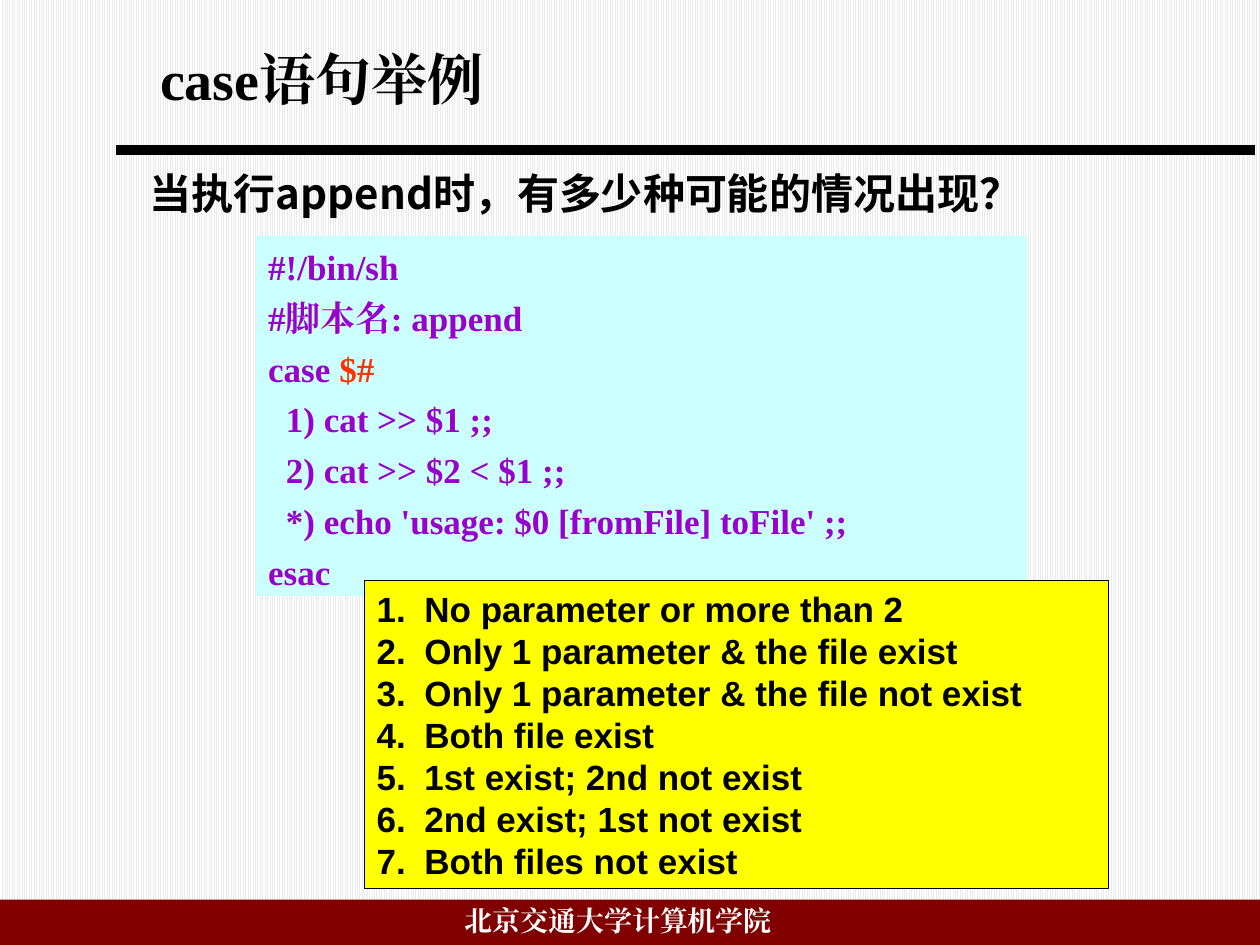
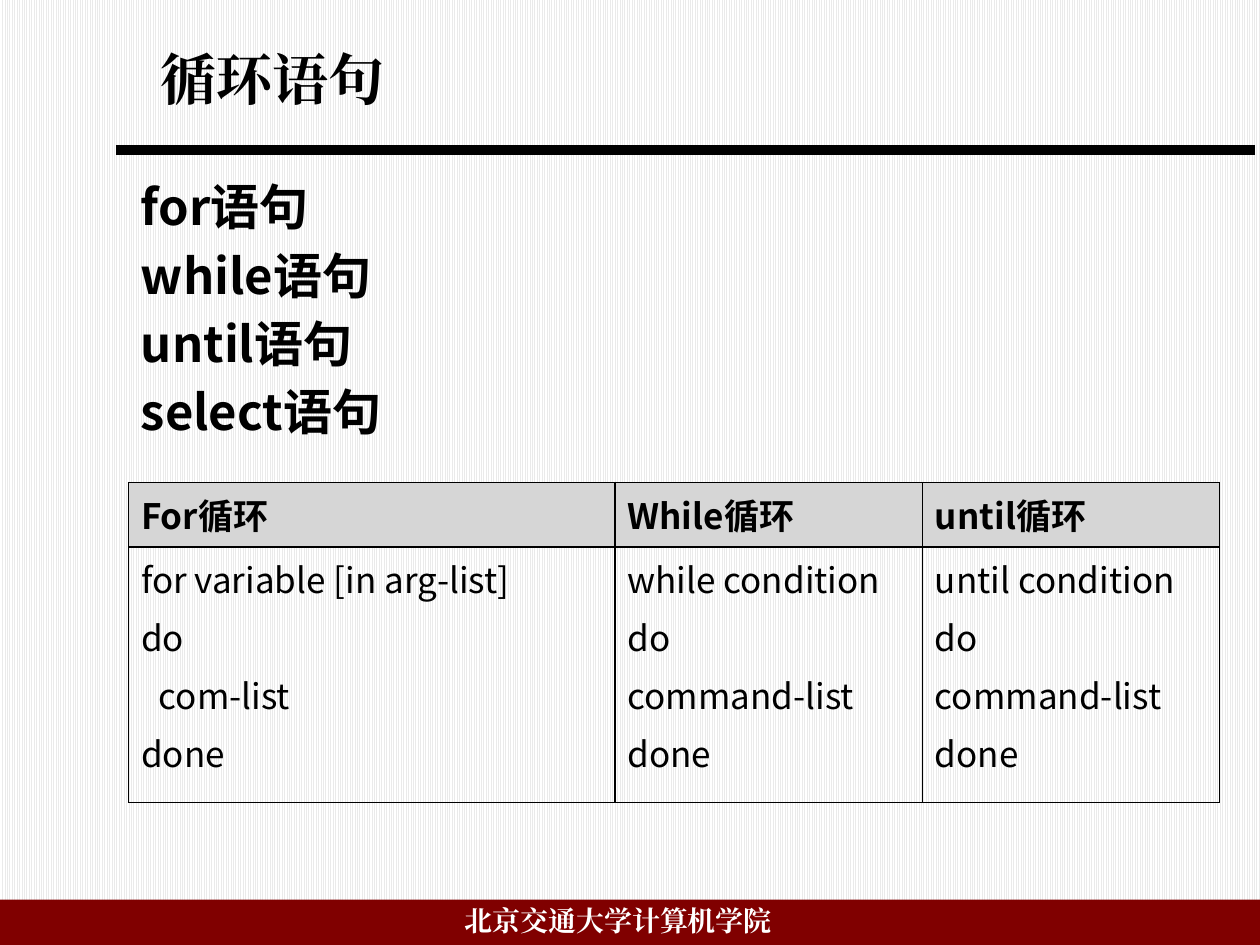
from dataclasses import dataclass

from lxml import etree
from pptx import Presentation
from pptx import util as u
from pptx.dml.color import RGBColor
from pptx.enum import dml, shapes, text
from pptx.oxml.ns import qn

FOOTER = "北京交通大学计算机学院"

CASE_TITLE = "case语句举例"
CASE_QUESTION = ["当执行append时，有多少种可能的情况出现？"]
# A line is a string or a list of (text, colour name) runs; leading spaces become an indent.
APPEND_SCRIPT = [
    "#!/bin/sh",
    "#脚本名: append",
    [("case ", "code"), ("$#", "highlight")],
    "  1) cat >> $1 ;;",
    "  2) cat >> $2 < $1 ;;",
    "  *) echo 'usage: $0 [fromFile] toFile' ;;",
    "esac",
]
APPEND_CASES = [
    "No parameter or more than 2",
    "Only 1 parameter & the file exist",
    "Only 1 parameter & the file not exist",
    "Both file exist",
    "1st exist; 2nd not exist",
    "2nd exist; 1st not exist",
    "Both files not exist",
]

LOOP_TITLE = "循环语句"
LOOP_STATEMENTS = ["for语句", "while语句", "until语句", "select语句"]
LOOP_SYNTAX = [
    ("For循环", 3.86, ["for variable [in arg-list]", "do", "  com-list", "done"]),
    ("While循环", 2.44, ["while condition", "do", "command-list", "done"]),
    ("until循环", 2.36, ["until condition", "do", "command-list", "done"]),
]
LOOP_ROW_HEIGHTS = (0.51, 2.03)

COLOURS = {
    "ink": "000000", "paper": "FFFFFF", "stripe": "EAEAEA", "band": "800000",
    "code": "9900CC", "highlight": "FF3300", "code_box": "CCFFFF",
    "answer_box": "FFFF00", "header": "D6D6D6",
}
SERIF, SANS, CJK = "Times New Roman", "Arial", "Noto Sans CJK SC"
WIDTH, HEIGHT = 10, 7.5
BAND_TOP = 7.14
CODE_INDENT = 0.07  # inches for each leading space
LIST_INDENT = 0.38


@dataclass(frozen=True)
class Style:
    """Type of a block of text; space and pitch are in points."""
    font: str
    size: int
    colour: str = "ink"
    bold: bool = True
    space: float = 0
    pitch: float = 0
    numbered: bool = False


class Theme:
    title = Style(SERIF, 32)
    footer = Style(SERIF, 16, "paper")
    question = Style(CJK, 24)
    statements = Style(CJK, 28, pitch=39)
    code = Style(SERIF, 20, "code", space=5)
    answers = Style(SANS, 20, pitch=24, numbered=True)
    table_head = Style(CJK, 20)
    table_body = Style(CJK, 20, bold=False, space=4)


def rgb(name):
    return RGBColor.from_string(COLOURS[name])


def inches(*lengths):
    return [u.Inches(length) for length in lengths]


def set_font(font, style):
    """Apply a style, using its typeface for Chinese text too."""
    font.name, font.size, font.bold = style.font, u.Pt(style.size), style.bold
    font.color.rgb = rgb(style.colour)
    latin = font._element.find(qn("a:latin"))
    east_asian = etree.Element(qn("a:ea"), typeface=style.font)
    latin.addnext(east_asian)


def write(frame, lines, style):
    """Fill a text frame with one paragraph a line."""
    for index, line in enumerate(lines):
        paragraph = frame.add_paragraph() if index else frame.paragraphs[0]
        paragraph.alignment = text.PP_ALIGN.LEFT
        paragraph.space_before = u.Pt(style.space if index else 0)
        if style.pitch:
            paragraph.line_spacing = u.Pt(style.pitch)
        properties = paragraph._p.get_or_add_pPr()
        if style.numbered:
            properties.set("marL", str(u.Inches(LIST_INDENT)))
            properties.set("indent", str(u.Inches(-LIST_INDENT)))
            etree.SubElement(properties, qn("a:buFont"), typeface=style.font)
            etree.SubElement(properties, qn("a:buAutoNum"), type="arabicPeriod")
        set_font(paragraph.font, style)
        if isinstance(line, str):
            code = line.lstrip()
            if code != line:
                indent = CODE_INDENT * (len(line) - len(code))
                properties.set("marL", str(u.Inches(indent)))
            paragraph.add_run().text = code
        else:
            for words, colour in line:
                run = paragraph.add_run()
                run.text = words
                run.font.color.rgb = rgb(colour)


def add_text(slide, box, lines, style, margin_top=0.05):
    frame = slide.shapes.add_textbox(*inches(*box)).text_frame
    frame.word_wrap = True
    frame.margin_top = u.Inches(margin_top)
    write(frame, lines, style)


def add_box(slide, box, fill, line=None):
    shape = slide.shapes.add_shape(shapes.MSO_SHAPE.RECTANGLE, *inches(*box))
    shape.shadow.inherit = False
    shape.fill.solid()
    shape.fill.fore_color.rgb = rgb(fill)
    if line:
        shape.line.color.rgb = rgb(line)
        shape.line.width = u.Pt(0.75)
    else:
        shape.line.fill.background()
    return shape


def add_text_box(slide, box, fill, lines, style, line=None, margin_top=0.05):
    frame = add_box(slide, box, fill, line).text_frame
    frame.word_wrap = True
    frame.vertical_anchor = text.MSO_ANCHOR.TOP
    frame.margin_top = u.Inches(margin_top)
    write(frame, lines, style)


def add_slide(presentation, title):
    """Add a slide with the striped background, title, rule and footer band."""
    slide = presentation.slides.add_slide(presentation.slide_layouts[5])
    background = slide.background.fill
    background.patterned()
    background.pattern = dml.MSO_PATTERN.LIGHT_VERTICAL
    background.fore_color.rgb = rgb("stripe")
    background.back_color.rgb = rgb("paper")

    rule = slide.shapes.add_connector(
        shapes.MSO_CONNECTOR.STRAIGHT, *inches(0.92, 1.19, 9.96, 1.19))
    rule.line.color.rgb = rgb("ink")
    rule.line.width = u.Pt(6)
    etree.SubElement(rule._element.spPr, qn("a:effectLst"))
    add_box(slide, (0, BAND_TOP, WIDTH, HEIGHT - BAND_TOP), "band")
    add_text(slide, (3.59, 7.12, 3.32, 0.37), [FOOTER], Theme.footer)

    holder = slide.shapes.title
    holder.left, holder.top, holder.width, holder.height = inches(1.17, 0.3, 8.33, 1.25)
    frame = holder.text_frame
    frame.auto_size = text.MSO_AUTO_SIZE.NONE
    frame.vertical_anchor = text.MSO_ANCHOR.TOP
    write(frame, [title], Theme.title)
    return slide


def set_borders(cell):
    properties = cell._tc.get_or_add_tcPr()
    for position, side in enumerate(("lnL", "lnR", "lnT", "lnB")):
        border = etree.Element(qn(f"a:{side}"), w=str(u.Pt(1)))
        fill = etree.SubElement(border, qn("a:solidFill"))
        etree.SubElement(fill, qn("a:srgbClr"), val=COLOURS["ink"])
        properties.insert(position, border)


def add_syntax_table(slide, left, top):
    widths = [width for _, width, _ in LOOP_SYNTAX]
    table = slide.shapes.add_table(
        len(LOOP_ROW_HEIGHTS), len(widths),
        *inches(left, top, sum(widths), sum(LOOP_ROW_HEIGHTS))).table
    table.first_row = table.horz_banding = False
    for row, height in zip(table.rows, LOOP_ROW_HEIGHTS):
        row.height = u.Inches(height)
    for column, (heading, width, syntax) in enumerate(LOOP_SYNTAX):
        table.columns[column].width = u.Inches(width)
        head, body = table.cell(0, column), table.cell(1, column)
        head.fill.solid()
        head.fill.fore_color.rgb = rgb("header")
        body.fill.background()
        write(head.text_frame, [heading], Theme.table_head)
        write(body.text_frame, syntax, Theme.table_body)
        set_borders(head)
        set_borders(body)


def build_case_slide(presentation):
    slide = add_slide(presentation, CASE_TITLE)
    add_text(slide, (1.09, 1.33, 8.33, 0.5), CASE_QUESTION, Theme.question, margin_top=0)
    add_text_box(slide, (2.03, 1.87, 6.12, 2.86), "code_box",
                 APPEND_SCRIPT, Theme.code, margin_top=0.08)
    add_text_box(slide, (2.89, 4.61, 5.91, 2.44), "answer_box",
                 APPEND_CASES, Theme.answers, line="ink")


def build_loop_slide(presentation):
    slide = add_slide(presentation, LOOP_TITLE)
    add_text(slide, (1.02, 1.33, 8.33, 2.3), LOOP_STATEMENTS, Theme.statements, margin_top=0)
    add_syntax_table(slide, 1.02, 3.83)


def main():
    presentation = Presentation()
    presentation.slide_width, presentation.slide_height = inches(WIDTH, HEIGHT)
    build_case_slide(presentation)
    build_loop_slide(presentation)
    presentation.save("out.pptx")


if __name__ == "__main__":
    main()
